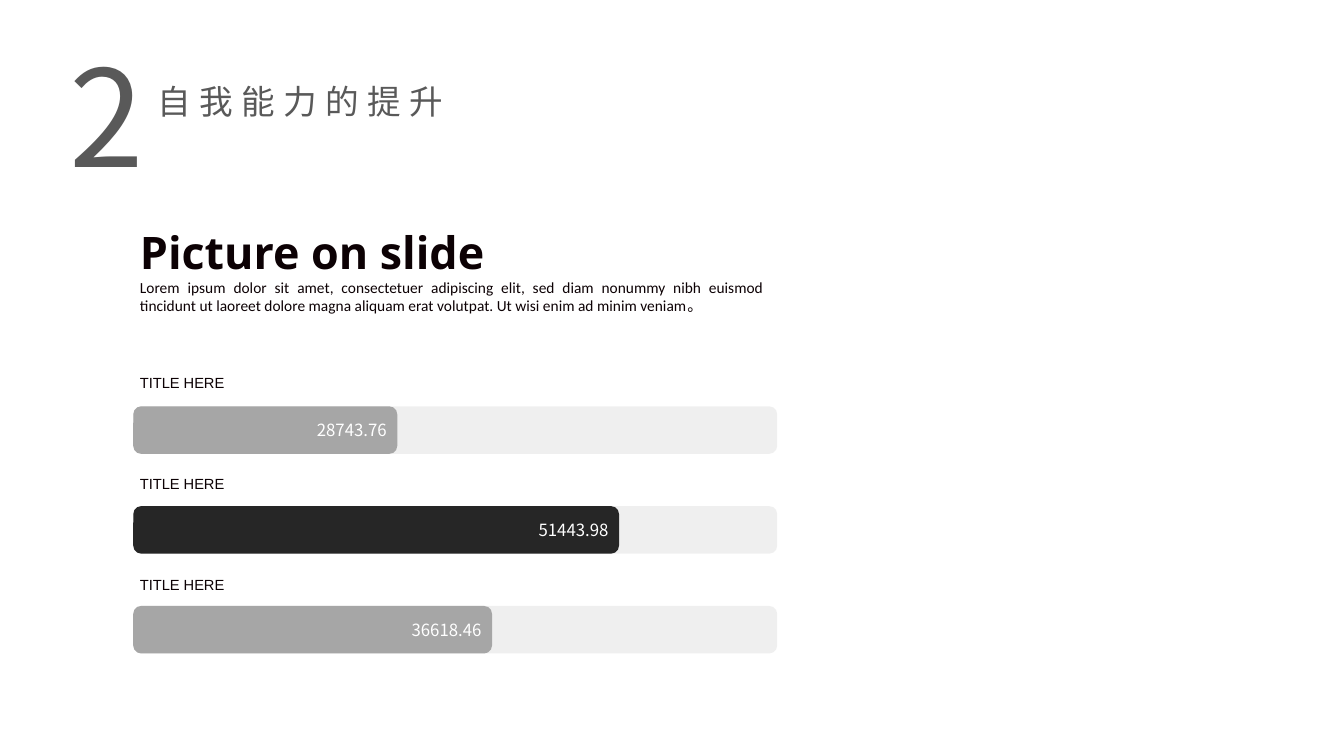
from pptx import Presentation
from pptx.dml.color import RGBColor
from pptx.enum.shapes import MSO_SHAPE
from pptx.enum.text import MSO_ANCHOR, MSO_AUTO_SIZE, PP_ALIGN
from pptx.oxml.ns import qn
from pptx.util import Pt
from lxml import etree

ROUNDED = MSO_SHAPE.ROUNDED_RECTANGLE
TOP, MIDDLE = MSO_ANCHOR.TOP, MSO_ANCHOR.MIDDLE
GROW = MSO_AUTO_SIZE.SHAPE_TO_FIT_TEXT
LEFT, CENTER, RIGHT, JUSTIFY = PP_ALIGN.LEFT, PP_ALIGN.CENTER, PP_ALIGN.RIGHT, PP_ALIGN.JUSTIFY

COLORS = {"heading": "595959", "ink": "0C0104", "track": "D9D9D9",
          "grey": "A6A6A6", "black": "262626", "value": "FFFFFF"}
CJK = "Noto Sans CJK SC"
BAR_LEFT, BAR_TOP, BAR_STEP, BAR_HEIGHT = 95.2, 290.2, 71.3, 34
TRACK_WIDTH = 460
TEXT_LEFT, LABEL_TOP, LABEL_STEP = 92.9, 260.6, 72.3
BARS = [("28743.76", 188.6, "grey"), ("51443.98", 347, "black"), ("36618.46", 256.3, "grey")]
SUMMARY = ("Lorem ipsum dolor sit amet, consectetuer adipiscing elit, sed diam nonummy nibh "
           "euismod tincidunt ut laoreet dolore magna aliquam erat volutpat. "
           "Ut wisi enim ad minim veniam。")


def apply(target, formats):
    """Set each format value on the target."""
    for name, value in formats.items():
        setattr(target, name, value)


def write(shape, text, size, font, color, align=LEFT, spacing=1.0, bold=False, tracking=0, **frame):
    """Write one formatted paragraph into a shape."""
    apply(shape.text_frame, {"word_wrap": True, "vertical_anchor": TOP, **frame})
    paragraph = shape.text_frame.paragraphs[0]
    apply(paragraph, {"alignment": align, "line_spacing": spacing})
    run = paragraph.add_run()
    run.text = text
    apply(run.font, {"size": Pt(size), "name": font, "bold": bold})
    run.font.color.rgb = RGBColor.from_string(COLORS[color])
    properties = run.font._element
    etree.SubElement(properties, qn("a:ea")).set("typeface", font)
    if tracking:
        properties.set("spc", str(tracking * 100))


def place(shape, left, top, width, height):
    """Move and size a placeholder."""
    apply(shape, {"left": Pt(left), "top": Pt(top), "width": Pt(width), "height": Pt(height)})


def add_text(slide, box, *content, **formats):
    """Add a text box that grows with its text."""
    shape = slide.shapes.add_textbox(*map(Pt, box))
    write(shape, *content, auto_size=GROW, **formats)


def add_bar(slide, top, width, color, opacity=100):
    """Add a rounded bar starting at the common left edge."""
    bar = slide.shapes.add_shape(ROUNDED, Pt(BAR_LEFT), Pt(top), Pt(width), Pt(BAR_HEIGHT))
    bar.adjustments[0] = 0.17
    bar.shadow.inherit = False
    bar.line.fill.background()
    bar.fill.solid()
    bar.fill.fore_color.rgb = RGBColor.from_string(COLORS[color])
    if opacity < 100:
        rgb = bar._element.spPr.find(qn("a:solidFill")).find(qn("a:srgbClr"))
        etree.SubElement(rgb, qn("a:alpha")).set("val", str(opacity * 1000))
    return bar


def add_progress(slide, index, value, width, color):
    """Add a label, a track and a value bar."""
    top = BAR_TOP + index * BAR_STEP
    add_bar(slide, top, TRACK_WIDTH, "track", opacity=40)
    value_bar = add_bar(slide, top, width, color)
    write(value_bar, value, 12, CJK, "value", align=RIGHT, vertical_anchor=MIDDLE,
          margin_left=Pt(5.8), margin_right=Pt(5.8), margin_top=Pt(2.9), margin_bottom=Pt(2.9))
    add_text(slide, (TEXT_LEFT, LABEL_TOP + index * LABEL_STEP, 110, 16.6),
             "TITLE HERE", 10.5, "Arial", "ink", spacing=1.5, margin_top=0, margin_bottom=0)


def main():
    """Build and save the slide."""
    deck = Presentation()
    apply(deck, {"slide_width": Pt(960), "slide_height": Pt(540)})
    slide = deck.slides.add_slide(deck.slide_layouts[5])
    title = slide.shapes.title
    place(title, 105.1, 46.8, 291.6, 40.3)
    write(title, "自我能力的提升", 24, CJK, "heading", spacing=1.25, tracking=6, auto_size=GROW)
    add_text(slide, (42.5, -8.6, 51.1, 139), "2", 96, "Noto Sans CJK JP", "heading",
             align=CENTER, spacing=1.25)
    add_text(slide, (TEXT_LEFT, 137.5, 384.5, 59), "Picture on slide", 32, "Open Sans", "ink",
             spacing=1.5, bold=True)
    add_text(slide, (TEXT_LEFT, 195.1, TRACK_WIDTH, 33.8), SUMMARY, 11, "Calibri", "ink",
             align=JUSTIFY)
    for index, bar in enumerate(BARS):
        add_progress(slide, index, *bar)
    deck.save("out.pptx")


if __name__ == "__main__":
    main()
